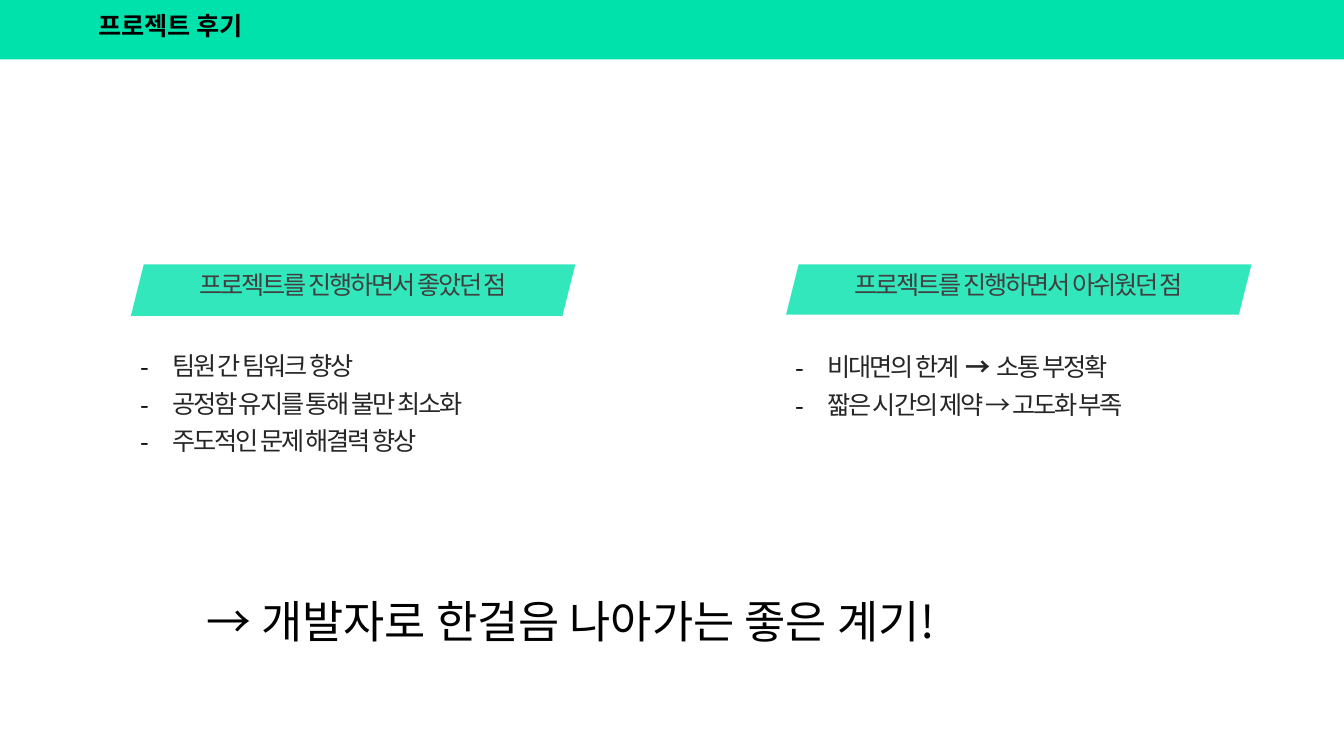
from lxml import etree
from pptx import Presentation
from pptx.dml.color import RGBColor
from pptx.enum.shapes import MSO_SHAPE
from pptx.enum.text import PP_ALIGN
from pptx.oxml.ns import qn
from pptx.util import Cm, Pt

RECT, SLANT = MSO_SHAPE.RECTANGLE, MSO_SHAPE.PARALLELOGRAM
LEFT, CENTER = PP_ALIGN.LEFT, PP_ALIGN.CENTER
FONT = "Noto Sans CJK KR"
COLORS = {"mint": "00E2AC", "black": "000000", "heading": "404040", "body": "262626"}
TIGHT = -150
INDENT = Cm(0.79)
HEADING_TOP = 6.66

COLUMNS = [
    {
        "x": 3.3, "bar": (11.2, 1.3), "list_top": 8.51, "list_size": (11.53, 4.2),
        "title": "프로젝트를 진행하면서 좋았던 점",
        "items": [
            [("팀원 간 팀워크 향상", {})],
            [("공정함 유지를 통해 불만 최소화", {})],
            [("주도적인 문제 해결력 향상", {})],
        ],
    },
    {
        "x": 19.81, "bar": (11.73, 1.27), "list_top": 8.54, "list_size": (10.62, 2.46),
        "title": "프로젝트를 진행하면서 아쉬웠던 점",
        "items": [
            [("비대면의 한계", {}), (" → ", {"bold": True, "spacing": 20}), ("소통 부정확", {})],
            [("짧은 시간의 제약 → 고도화 부족", {})],
        ],
    },
]


class Deck:
    def __init__(self):
        self.prs = Presentation()
        self.prs.slide_width, self.prs.slide_height = Cm(33.87), Cm(19.05)
        self.s = self.prs.slides.add_slide(self.prs.slide_layouts[6])

    def shape(self, parent, kind, x, y, w, h, alpha=None):
        sp = parent.shapes.add_shape(kind, Cm(x), Cm(y), Cm(w), Cm(h))
        sp.shadow.inherit = False
        sp.fill.solid()
        sp.fill.fore_color.rgb = RGBColor.from_string(COLORS["mint"])
        sp.line.fill.background()
        if alpha:
            color = sp._element.spPr.find(qn("a:solidFill"))[0]
            etree.SubElement(color, qn("a:alpha")).set("val", str(alpha * 1000))

    def run(self, p, text, color, spacing=0, size=18, bold=False):
        r = p.add_run()
        r.text = text
        for name, value in {"name": FONT, "size": Pt(size), "bold": bold}.items():
            setattr(r.font, name, value)
        r.font.color.rgb = RGBColor.from_string(COLORS[color])
        rPr = r._r.get_or_add_rPr()
        rPr.set("spc", str(spacing))
        etree.SubElement(rPr, qn("a:ea")).set("typeface", FONT)

    def text_frame(self, parent, x, y, w, h):
        tf = parent.shapes.add_textbox(Cm(x), Cm(y), Cm(w), Cm(h)).text_frame
        tf.word_wrap = True
        return tf

    def text(self, parent, text, x, y, w, h, align=LEFT, **style):
        p = self.text_frame(parent, x, y, w, h).paragraphs[0]
        p.alignment = align
        self.run(p, text, **style)

    def bullets(self, items, x, y, w, h):
        tf = self.text_frame(self.s, x, y, w, h)
        for i, runs in enumerate(items):
            p = tf.add_paragraph() if i else tf.paragraphs[0]
            p.line_spacing = 1.25
            pPr = p._p.get_or_add_pPr()
            pPr.set("marL", str(INDENT))
            pPr.set("indent", str(-INDENT))
            color = etree.SubElement(pPr, qn("a:buClr"))
            etree.SubElement(color, qn("a:srgbClr")).set("val", COLORS["black"])
            etree.SubElement(pPr, qn("a:buFont")).set("typeface", FONT)
            etree.SubElement(pPr, qn("a:buChar")).set("char", "-")
            for text, style in runs:
                self.run(p, text, **{"color": "body", "spacing": TIGHT, **style})

    def heading(self, title, x, y, w, h):
        """Group a slanted bar with its centred title."""
        group = self.s.shapes.add_group_shape()
        self.shape(group, SLANT, x, y, w, h, alpha=80)
        self.text(group, title, x, y, w, h, CENTER, color="heading", spacing=TIGHT)


def main():
    deck = Deck()
    deck.shape(deck.s, RECT, 0, 0, 33.87, 1.5)
    for col in COLUMNS:
        deck.heading(col["title"], col["x"], HEADING_TOP, *col["bar"])
        deck.bullets(col["items"], col["x"], col["list_top"], *col["list_size"])
    deck.text(deck.s, "프로젝트 후기", 1.52, 0.13, 5.56, 1.02, CENTER, color="black", bold=True)
    deck.text(deck.s, "→ 개발자로 한걸음 나아가는 좋은 계기!", 4.95, 14.83, 26.57, 1.63,
              color="black", size=32)
    deck.prs.save("out.pptx")


if __name__ == "__main__":
    main()
